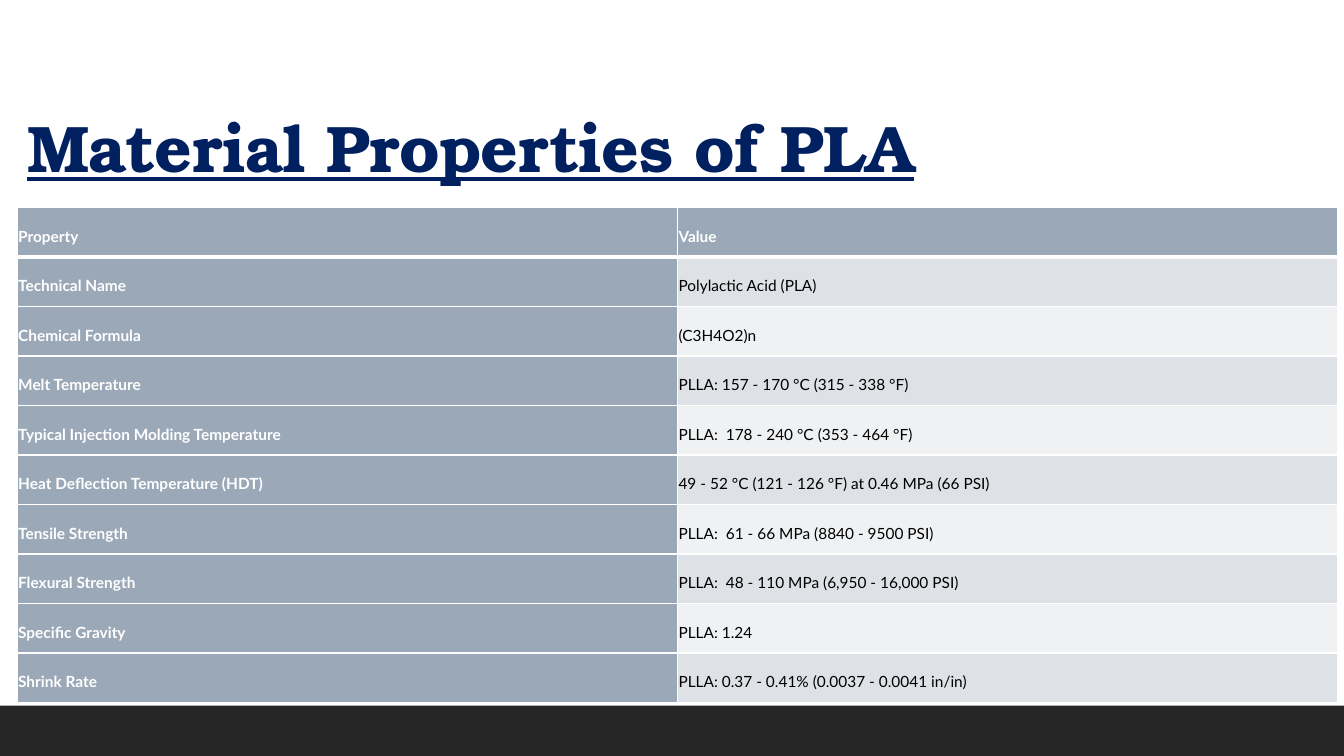
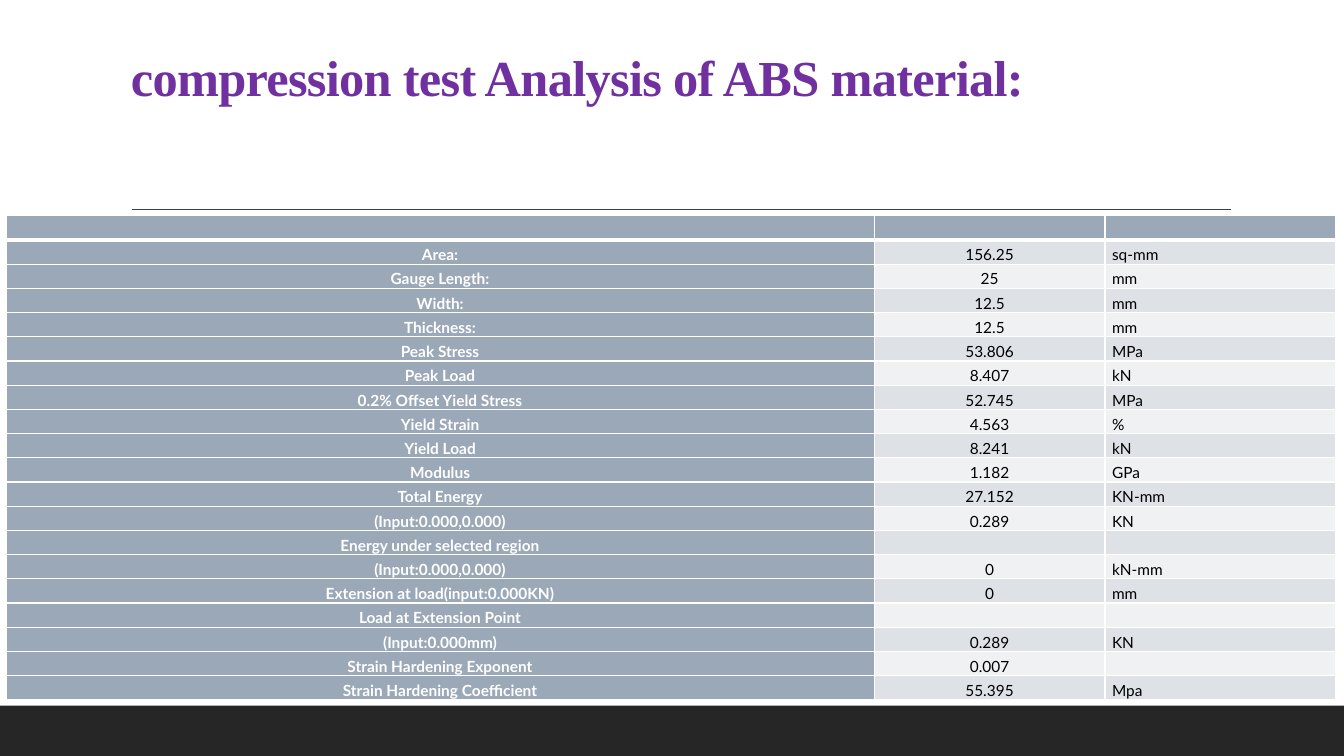
from dataclasses import dataclass

from lxml.etree import SubElement
from pptx import Presentation
from pptx.dml.color import RGBColor as RGB
from pptx.enum.shapes import MSO_CONNECTOR as Conn, MSO_SHAPE as Shape
from pptx.enum.text import MSO_ANCHOR as Anchor, PP_ALIGN as Align
from pptx.oxml.ns import qn
from pptx.util import Inches, Pt


@dataclass(frozen=True)
class Theme:
    band: str = "262626"
    rule: str = "404040"
    navy: str = "002060"
    violet: str = "7030A0"
    head: str = "9BA8B7"
    odd: str = "DEE1E6"
    even: str = "EFF1F3"
    white: str = "FFFFFF"
    black: str = "000000"
    body: str = "Lato"
    serif: str = "TeX Gyre Bonum"
    roman: str = "Times New Roman"
    cell: int = 11
    large: int = 47
    medium: int = 36


@dataclass(frozen=True)
class Grid:
    """How the cells of one table are set."""
    cols: tuple
    aligns: tuple
    anchor: Anchor
    side: float
    edge: float
    spacing: object


T = Theme()

PLA = [
    ("Property", "Value"),
    ("Technical Name", "Polylactic Acid (PLA)"),
    ("Chemical Formula", "(C3H4O2)n"),
    ("Melt Temperature", "PLLA: 157 - 170 °C (315 - 338 °F)"),
    ("Typical Injection Molding Temperature", "PLLA:  178 - 240 °C (353 - 464 °F)"),
    ("Heat Deflection Temperature (HDT)", "49 - 52 °C (121 - 126 °F) at 0.46 MPa (66 PSI)"),
    ("Tensile Strength", "PLLA:  61 - 66 MPa (8840 - 9500 PSI)"),
    ("Flexural Strength", "PLLA:  48 - 110 MPa (6,950 - 16,000 PSI)"),
    ("Specific Gravity", "PLLA: 1.24"),
    ("Shrink Rate", "PLLA: 0.37 - 0.41% (0.0037 - 0.0041 in/in)"),
]

ABS = [
    ("", "", ""),
    ("Area:", "156.25", "sq-mm"),
    ("Gauge Length:", "25", "mm"),
    ("Width:", "12.5", "mm"),
    ("Thickness:", "12.5", "mm"),
    ("Peak Stress", "53.806", "MPa"),
    ("Peak Load", "8.407", "kN"),
    ("0.2% Offset Yield Stress", "52.745", "MPa"),
    ("Yield Strain", "4.563", "%"),
    ("Yield Load", "8.241", "kN"),
    ("Modulus", "1.182", "GPa"),
    ("Total Energy", "27.152", "KN-mm"),
    ("(Input:0.000,0.000)", "0.289", "KN"),
    ("Energy under selected region", "", ""),
    ("(Input:0.000,0.000)", "0", "kN-mm"),
    ("Extension at load(input:0.000KN)", "0", "mm"),
    ("Load at Extension Point", "", ""),
    ("(Input:0.000mm)", "0.289", "KN"),
    ("Strain Hardening Exponent", "0.007", ""),
    ("Strain Hardening Coefficient", "55.395", "Mpa"),
]

PLA_GRID = Grid((6.55, 6.55), (Align.LEFT, Align.LEFT), Anchor.MIDDLE,
                0.01, 0.01, Pt(19.2))
ABS_GRID = Grid((8.61, 2.29, 2.29), (Align.CENTER, Align.CENTER, Align.LEFT),
                Anchor.BOTTOM, 0.07, 0, 1.15)


def style(para, face, size, color, bold=True):
    font = para.font
    font.name, font.size, font.bold = face, Pt(size), bold
    font.color.rgb = RGB.from_string(color)
    return font


def add_frame(deck):
    """Add a blank slide with the rule and the bottom band."""
    slide = deck.slides.add_slide(deck.slide_layouts[6])
    band = slide.shapes.add_shape(Shape.RECTANGLE, 0, Inches(7),
                                  deck.slide_width, Inches(0.5))
    band.shadow.inherit = False
    band.fill.solid()
    band.fill.fore_color.rgb = RGB.from_string(T.band)
    band.line.fill.background()
    rule = slide.shapes.add_connector(Conn.STRAIGHT, Inches(1.31), Inches(2.08),
                                      Inches(12.21), Inches(2.08))
    rule.line.color.rgb = RGB.from_string(T.rule)
    rule.line.width = Pt(1)
    SubElement(rule._element.spPr, qn("a:effectLst"))
    return slide


def add_title(slide, box, text, face, size, color, under=False):
    frame = slide.shapes.add_textbox(*map(Inches, box)).text_frame
    frame.word_wrap = True
    frame.vertical_anchor = Anchor.BOTTOM
    para = frame.paragraphs[0]
    para.text = text
    para.line_spacing = 0.9
    font = style(para, face, size, color)
    font.underline = under
    font._rPr.set("spc", "-50")


def set_edges(cell, top, bottom):
    """Draw white cell borders; top and bottom are widths in points."""
    props = cell._tc.get_or_add_tcPr()
    widths = {"lnL": 1, "lnR": 1, "lnT": top, "lnB": bottom}
    for spot, (tag, width) in enumerate(widths.items()):
        line = SubElement(props, qn(f"a:{tag}"), w=str(Pt(width)))
        fill = SubElement(line, qn("a:solidFill"))
        SubElement(fill, qn("a:srgbClr"), val=T.white)
        props.insert(spot, line)


def fill_cell(cell, text, row, col, grid):
    head = row == 0 or col == 0
    shade = T.head if head else (T.odd if row % 2 else T.even)
    cell.fill.solid()
    cell.fill.fore_color.rgb = RGB.from_string(shade)
    set_edges(cell, 3 if row == 1 else 1, 3 if row == 0 else 1)
    cell.margin_left = cell.margin_right = Inches(grid.side)
    cell.margin_top = cell.margin_bottom = Inches(grid.edge)
    cell.vertical_anchor = grid.anchor
    para = cell.text_frame.paragraphs[0]
    para.alignment = grid.aligns[col]
    para.line_spacing = grid.spacing
    style(para, T.body, T.cell, T.white if head else T.black, head)
    if text:
        para.text = text
    else:
        SubElement(para._p, qn("a:endParaRPr"), sz=str(T.cell * 100))


def add_grid(slide, box, rows, grid):
    table = slide.shapes.add_table(len(rows), len(grid.cols),
                                   *map(Inches, box)).table
    for col, width in zip(table.columns, grid.cols):
        col.width = Inches(width)
    for r, row in enumerate(rows):
        for c, text in enumerate(row):
            fill_cell(table.cell(r, c), text, r, c, grid)


def add_pla(deck):
    slide = add_frame(deck)
    add_title(slide, (0.17, 0.31, 12.03, 1.59), "Material Properties of PLA",
              T.serif, T.large, T.navy, under=True)
    add_grid(slide, (0.17, 2.06, 13.1, 4.91), PLA, PLA_GRID)


def add_abs(deck):
    slide = add_frame(deck)
    add_title(slide, (1.2, 0.31, 11, 0.81),
              "compression test Analysis of ABS material:",
              T.roman, T.medium, T.violet)
    add_grid(slide, (0.06, 2.14, 13.19, 4.81), ABS, ABS_GRID)


def main():
    deck = Presentation()
    deck.slide_width, deck.slide_height = Inches(13.33), Inches(7.5)
    add_pla(deck)
    add_abs(deck)
    deck.save("out.pptx")


if __name__ == "__main__":
    main()
